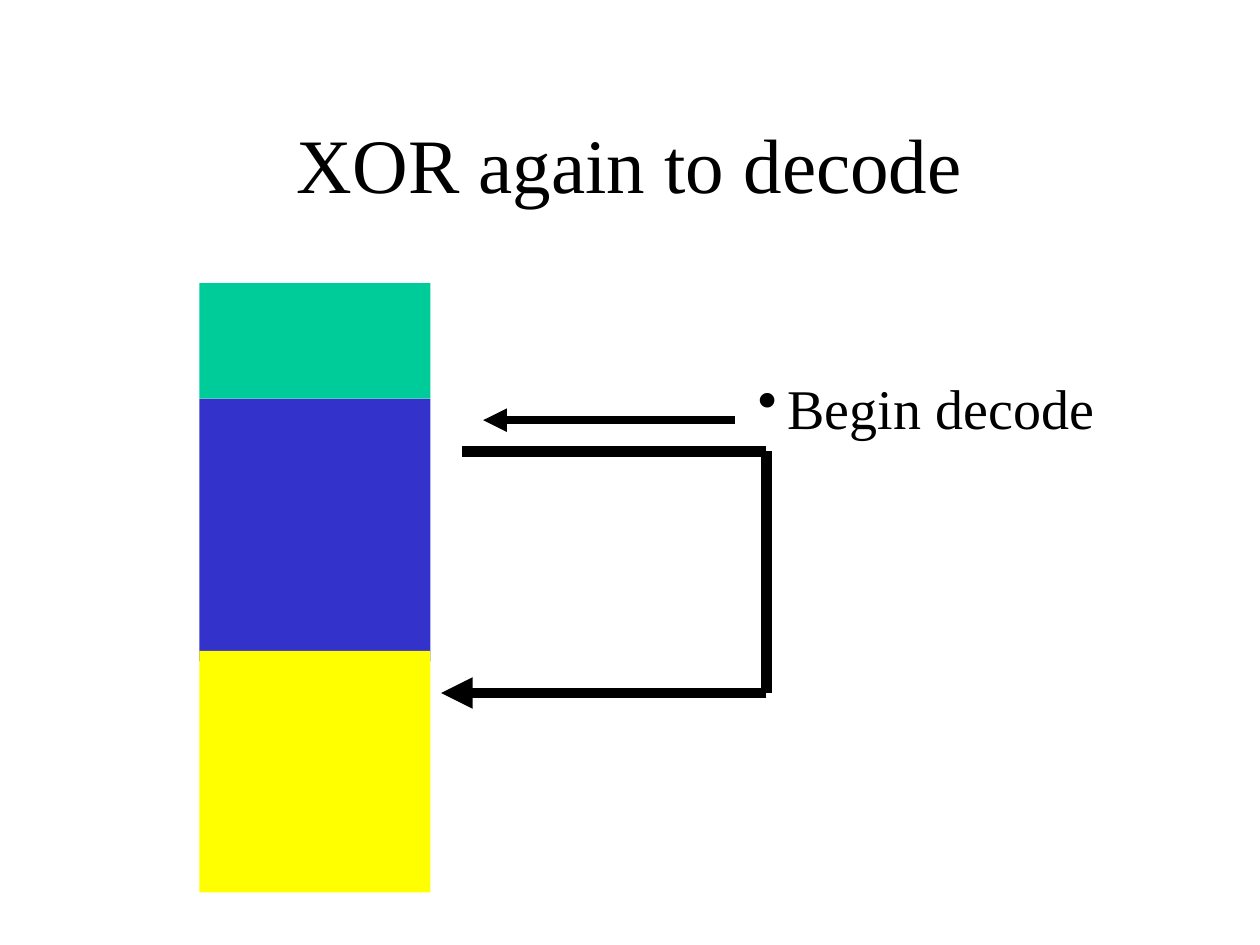
from itertools import pairwise

from lxml import etree
from pptx import Presentation, util as u
from pptx.dml.color import RGBColor
from pptx.enum import shapes, text
from pptx.oxml.ns import qn

COLORS = {"text": "000000", "header": "00CC99", "encoded": "3333CC", "decoder": "FFFF00"}
FONT = "Times New Roman"


def rgb(name):
    return RGBColor.from_string(COLORS[name])


def add_text(slide, box, words, size, **formats):
    """Place one paragraph in a box (left, top, width, height in cm)."""
    tf = slide.shapes.add_textbox(*map(u.Cm, box)).text_frame
    tf.word_wrap = True
    tf.vertical_anchor = formats.pop("anchor", text.MSO_ANCHOR.TOP)
    p = tf.paragraphs[0]
    for name, value in formats.items():
        setattr(p, name, value)
    r = p.add_run()
    r.text = words
    for name, value in {"name": FONT, "size": u.Pt(size)}.items():
        setattr(r.font, name, value)
    r.font.color.rgb = rgb("text")
    return p


def add_line(slide, start, end, width, arrow=False):
    c = slide.shapes.add_connector(
        shapes.MSO_CONNECTOR.STRAIGHT, *map(u.Cm, (*start, *end)))
    c.line.width = u.Pt(width)
    c.line.color.rgb = rgb("text")
    if arrow:
        etree.SubElement(c.line._get_or_add_ln(), qn("a:tailEnd"), type="triangle")
    etree.SubElement(c._element.spPr, qn("a:effectLst"))


def add_title(slide, box):
    add_text(slide, box, "XOR again to decode", 44,
             anchor=text.MSO_ANCHOR.MIDDLE, alignment=text.PP_ALIGN.CENTER)


def add_file_stack(slide, box):
    """Stack the file's sections; the encoded one runs on under the decoder."""
    left, top, width, height = box
    sections = [("header", 0, 2.33), ("encoded", 2.33, 5.29), ("decoder", 7.41, height - 7.41)]
    for name, offset, depth in sections:
        sp = slide.shapes.add_shape(
            shapes.MSO_SHAPE.RECTANGLE, *map(u.Cm, (left, top + offset, width, depth)))
        sp.shadow.inherit = False
        sp.fill.solid()
        sp.fill.fore_color.rgb = rgb(name)
        sp.line.fill.background()


def add_start_label(slide, box):
    """Bulleted label with an arrow pointing left to the start of decoding."""
    left, top, width, height = box
    label_x, arrow_y = left + 5.29, top + 1.06
    add_line(slide, (left + 5.08, arrow_y), (left, arrow_y), 4.5, arrow=True)
    p = add_text(slide, (label_x, top, width - 5.29, height), "Begin decode", 32,
                 space_before=u.Pt(4))
    # Hanging bullet
    pPr = p._p.get_or_add_pPr()
    indent = u.Cm(0.6)
    pPr.set("marL", str(indent))
    pPr.set("indent", str(-indent))
    etree.SubElement(pPr, qn("a:buChar"), char="•")


def add_loop(slide, box):
    """Loop from the encoded section round to the decoder."""
    left, top, width, height = box
    right, bottom = left + width, top + height
    points = [(left + 0.43, top), (right, top), (right, bottom), (left, bottom)]
    for start, end in pairwise(points):
        add_line(slide, start, end, 6, arrow=end == points[-1])


def main():
    prs = Presentation()
    prs.slide_width, prs.slide_height = u.Cm(25.4), u.Cm(19.05)
    slide = prs.slides.add_slide(prs.slide_layouts[6])
    add_title(slide, (1.9, 1.69, 21.59, 3.18))
    add_file_stack(slide, (4.02, 5.71, 4.66, 12.28))
    add_start_label(slide, (9.74, 7.41, 13.12, 1.63))
    add_loop(slide, (8.89, 9.1, 6.56, 4.87))
    prs.save("out.pptx")


if __name__ == "__main__":
    main()
